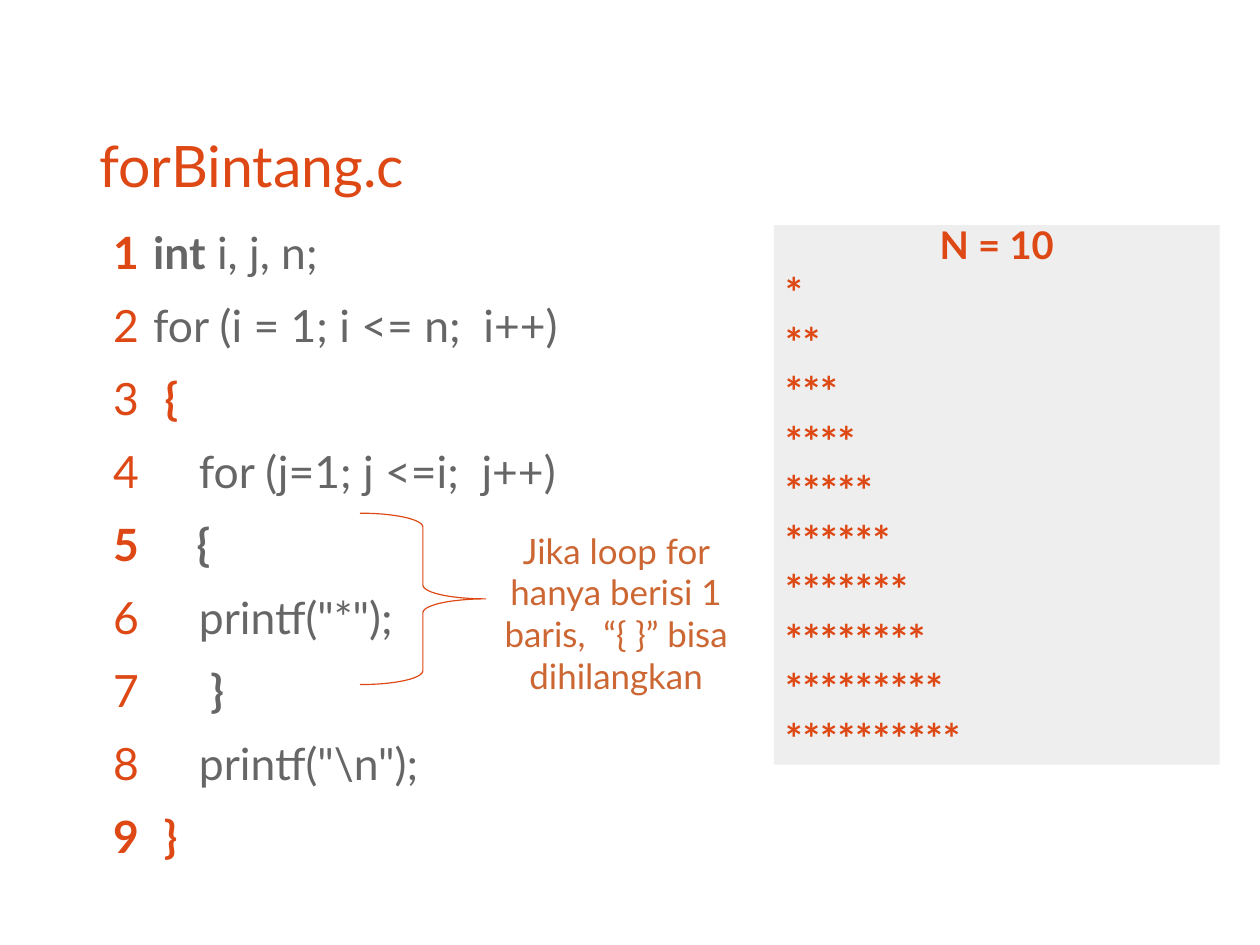
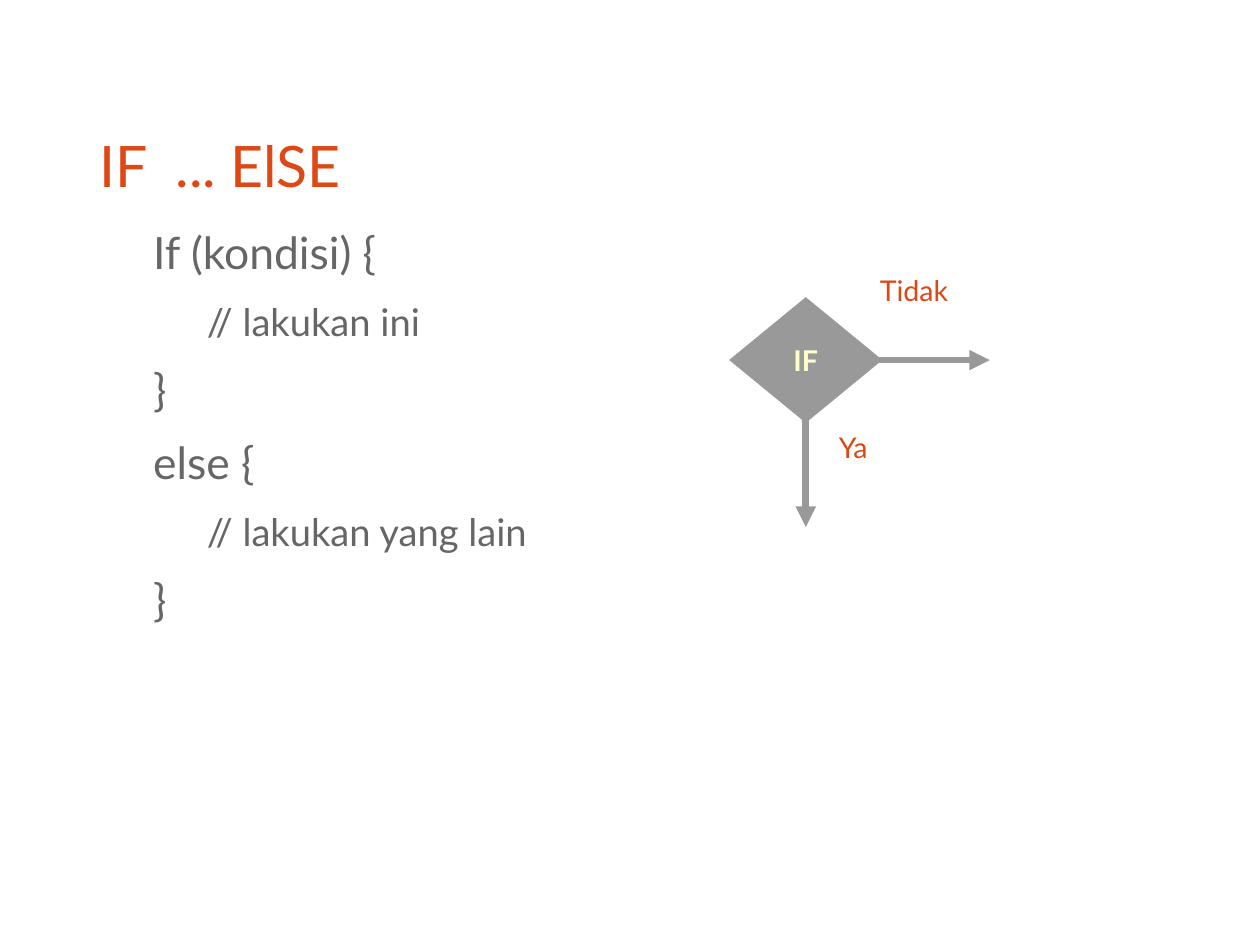
from lxml import etree
from pptx import Presentation
from pptx import util as u
from pptx.dml.color import RGBColor
from pptx.enum import shapes, text
from pptx.oxml.ns import qn

# Content: code lines are (indent in inches, [(text, bold, colour name), ...])
CODE_TITLE = "forBintang.c"
CODE_LINES = [
    (0, [("int", True, "body"), (" i, j, n;", False, "body")]),
    (0, [("for (i = 1; i <= n;  i++)", False, "body")]),
    (0, [(" ", False, "body"), ("{", True, "accent")]),
    (0.4, [("for (j=1; j <=i;  j++)", False, "body")]),
    (0.38, [("{", True, "body")]),
    (0.4, [('printf("*");', False, "body")]),
    (0.4, [(" ", False, "body"), ("}", True, "body")]),
    (0.4, [('printf("\\n");', False, "body")]),
    (0, [(" }", True, "accent")]),
]
OUTPUT_TITLE = "N = 10"
STAR_ROWS = 10
BRACE_NOTE = "Jika loop for hanya berisi 1 baris,  “{ }” bisa dihilangkan"

BRANCH_TITLE = "IF  ... ElSE"
BRANCH_LINES = [  # (level, text)
    (0, "If (kondisi) {"),
    (1, "// lakukan ini"),
    (0, "}"),
    (0, "else {"),
    (1, "// lakukan yang lain"),
    (0, "}"),
]
BRANCH_LABELS = [("Ya", 7.24, 3.71), ("Tidak", 7.6, 2.34)]
BRANCH_ARROWS = [(7.05, 3.66, 7.05, 4.61), (7.64, 3.15, 8.66, 3.15)]

# Shared style
COLORS = {"accent": "DD4814", "body": "666666", "panel": "EEEEEE",
          "note": "CC6633", "flow": "999999", "flow_text": "FFFFCC"}
FONT = "Lato"
LEFT, WIDTH = 0.87, 9.25
TEXT_INDENT, NUMBER_HANG = 0.47, 0.35
LEVEL_SIZES, LEVEL_GAPS = (28, 24), (12.4, 11.3)


def color(name):
    return RGBColor.from_string(COLORS[name])


def place(shape, left, top, width, height):
    shape.left, shape.top = u.Inches(left), u.Inches(top)
    shape.width, shape.height = u.Inches(width), u.Inches(height)


def style_run(run, size, color_name, bold=False):
    font = run.font
    font.name, font.size, font.bold = FONT, u.Pt(size), bold
    font.color.rgb = color(color_name)


def set_text(frame, content, size, color_name, bold=False, align=text.PP_ALIGN.LEFT):
    frame.word_wrap = True
    frame.text = content
    for paragraph in frame.paragraphs:
        paragraph.alignment = align
        for run in paragraph.runs:
            style_run(run, size, color_name, bold)


def clear_margins(frame):
    frame.margin_left = frame.margin_right = 0
    frame.margin_top = frame.margin_bottom = 0
    frame.auto_size = text.MSO_AUTO_SIZE.NONE


def add_slide(title, body_height):
    """Add a slide with the shared title; return it and its body text frame."""
    slide = presentation.slides.add_slide(presentation.slide_layouts[1])
    heading, body = slide.shapes.title, slide.placeholders[1]
    place(heading, LEFT, 1.02, WIDTH, 0.84)
    place(body, LEFT, 1.97, WIDTH, body_height)
    for placeholder in (heading, body):
        clear_margins(placeholder.text_frame)
    heading.text_frame.vertical_anchor = text.MSO_ANCHOR.MIDDLE
    set_text(heading.text_frame, title, 36, "accent")
    return slide, body.text_frame


def format_line(paragraph, margin, first_indent, level, numbered):
    paragraph.level = level
    paragraph.space_before = u.Pt(0)
    paragraph.space_after = u.Pt(LEVEL_GAPS[level])
    properties = paragraph._p.get_or_add_pPr()
    properties.set("marL", str(u.Inches(margin)))
    properties.set("indent", str(u.Inches(first_indent)))
    if numbered:
        bullet_color = etree.SubElement(properties, qn("a:buClr"))
        etree.SubElement(bullet_color, qn("a:srgbClr"), val=COLORS["accent"])
        etree.SubElement(properties, qn("a:buFont"), typeface=FONT)
        etree.SubElement(properties, qn("a:buAutoNum"), type="arabicPlain")
    else:
        etree.SubElement(properties, qn("a:buNone"))


def add_shape(slide, kind, box, fill=None, line=None):
    shape = slide.shapes.add_shape(kind, *map(u.Inches, box))
    shape.shadow.inherit = False
    if fill:
        shape.fill.solid()
        shape.fill.fore_color.rgb = color(fill)
    else:
        shape.fill.background()
    if line:
        shape.line.color.rgb = color(line)
        shape.line.width = u.Pt(0)
    else:
        shape.line.fill.background()
    return shape


def add_label(slide, content, box, size, color_name, align=text.PP_ALIGN.LEFT):
    label = slide.shapes.add_textbox(*map(u.Inches, box))
    set_text(label.text_frame, content, size, color_name, align=align)


def add_arrow(slide, ends):
    arrow = slide.shapes.add_connector(shapes.MSO_CONNECTOR.STRAIGHT, *map(u.Inches, ends))
    arrow.line.color.rgb = color("flow")
    arrow.line.width = u.Pt(4.31)
    properties = arrow.element.spPr
    etree.SubElement(properties.find(qn("a:ln")), qn("a:tailEnd"), type="triangle")
    etree.SubElement(properties, qn("a:effectLst"))


# The page is 28 by 21 cm, a custom size rather than the template's preset
presentation = Presentation()
presentation.slide_width, presentation.slide_height = u.Cm(28), u.Cm(21)
presentation.element.find(qn("p:sldSz")).attrib.pop("type", None)

# Slide 1: numbered code listing
slide, body = add_slide(CODE_TITLE, 5.67)
for index, (depth, pieces) in enumerate(CODE_LINES):
    paragraph = body.paragraphs[0] if index == 0 else body.add_paragraph()
    format_line(paragraph, TEXT_INDENT + depth, -NUMBER_HANG - depth, 0, True)
    for content, bold, color_name in pieces:
        run = paragraph.add_run()
        run.text = content
        style_run(run, LEVEL_SIZES[0], color_name, bold)

# Program output panel: centred heading above a growing triangle of stars
panel = add_shape(slide, shapes.MSO_SHAPE.RECTANGLE, (6.77, 1.97, 3.9, 4.72), "panel")
output = panel.text_frame
output.vertical_anchor = text.MSO_ANCHOR.MIDDLE
output.margin_top, output.margin_bottom = 0, u.Inches(0.05)
stars = ["*" * count for count in range(1, STAR_ROWS + 1)]
set_text(output, "\n".join([OUTPUT_TITLE] + stars), 26, "accent", True)
output.paragraphs[0].alignment = text.PP_ALIGN.CENTER
output.paragraphs[0].runs[0].font.size = u.Pt(24)

# Brace and its note
brace = add_shape(slide, shapes.MSO_SHAPE.RIGHT_BRACE, (3.15, 4.49, 1.1, 1.5), line="accent")
brace.adjustments[0] = 0.11
add_label(slide, BRACE_NOTE, (4.25, 4.58, 2.28, 2.18), 22, "note", text.PP_ALIGN.CENTER)

# Slide 2: branch syntax
slide, body = add_slide(BRANCH_TITLE, 4.76)
set_text(body, "\n".join(content for level, content in BRANCH_LINES), LEVEL_SIZES[0], "body")
for paragraph, (level, content) in zip(body.paragraphs, BRANCH_LINES):
    format_line(paragraph, TEXT_INDENT * (level + 1), 0, level, False)
    paragraph.runs[0].font.size = u.Pt(LEVEL_SIZES[level])

# Decision diagram
decision = add_shape(slide, shapes.MSO_SHAPE.DIAMOND, (6.38, 2.6, 1.34, 1.1), "flow")
decision.text_frame.vertical_anchor = text.MSO_ANCHOR.MIDDLE
set_text(decision.text_frame, "IF", 18, "flow_text", True, text.PP_ALIGN.CENTER)
for ends in BRANCH_ARROWS:
    add_arrow(slide, ends)
for content, left, top in BRANCH_LABELS:
    add_label(slide, content, (left, top, 1.34, 0.44), 18, "accent")

presentation.save("out.pptx")
